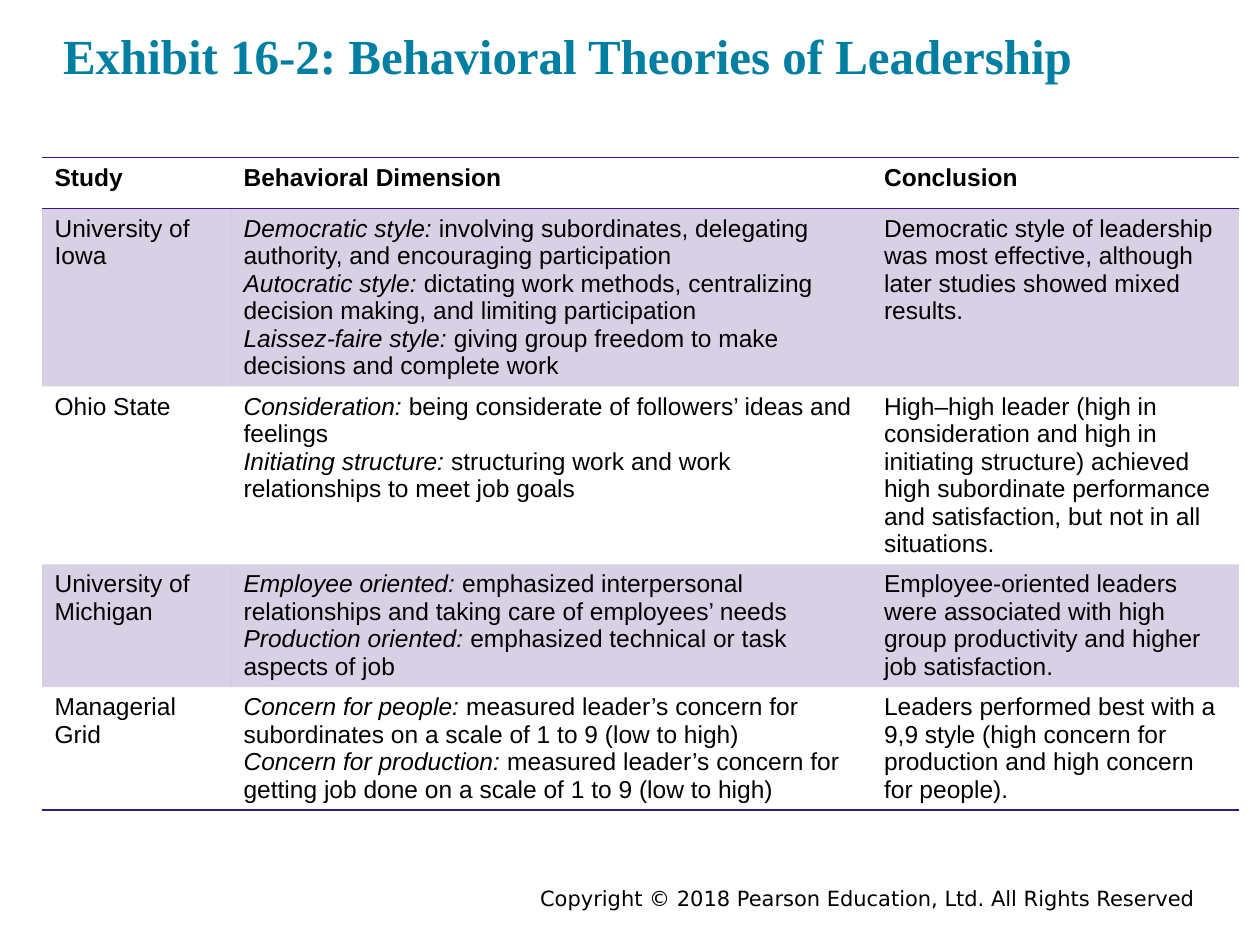
from lxml import etree
from pptx import Presentation
from pptx.dml.color import RGBColor
from pptx.enum import text
from pptx.oxml import parse_xml
from pptx.oxml.ns import nsdecls, qn
from pptx.util import Pt

PURPLE = "3C1581"


def write(frame, lines, font="Arial", size=14, color="000000", bold=False,
          align=text.PP_ALIGN.LEFT):
    """Fill a frame; a line is a string or an (italic term, plain text) pair."""
    for n, line in enumerate(lines):
        para = frame.paragraphs[0] if n == 0 else frame.add_paragraph()
        para.alignment = align
        parts = [("", line)] if isinstance(line, str) else [line]
        for term, rest in parts:
            for words, slant in ((term, True), (rest, False)):
                if words:
                    run = para.add_run()
                    run.text = words
                    run.font.name = font
                    run.font.size = Pt(size)
                    run.font.bold = bold
                    run.font.italic = slant
                    run.font.color.rgb = RGBColor.from_string(color)


def rule(cell, side):
    """Draw a purple border on one side of a cell."""
    cell._tc.get_or_add_tcPr().insert(0, parse_xml(
        f'<a:{side} {nsdecls("a")} w="12700"><a:solidFill>'
        f'<a:srgbClr val="{PURPLE}"/></a:solidFill></a:{side}>'))


deck = Presentation()
deck.slide_width, deck.slide_height = Pt(720), Pt(540)
slide = deck.slides.add_slide(deck.slide_layouts[5])

# Title
title = slide.shapes.title
title.left, title.top, title.width, title.height = Pt(36), Pt(17.3), Pt(648), Pt(31)
frame = title.text_frame
frame.margin_left = frame.margin_right = frame.margin_top = frame.margin_bottom = 0
frame.vertical_anchor = text.MSO_ANCHOR.BOTTOM
frame.auto_size = text.MSO_AUTO_SIZE.NONE
write(frame, ["Exhibit 16-2: Behavioral Theories of Leadership"],
      font="Times New Roman", size=28, color="007FA3", bold=True)

# Table content: each cell is a list of paragraphs
rows = [
    (["Study"], ["Behavioral Dimension"], ["Conclusion"]),
    (["University of Iowa"],
     [("Democratic style: ", "involving subordinates, delegating authority, "
       "and encouraging participation"),
      ("Autocratic style: ", "dictating work methods, centralizing decision "
       "making, and limiting participation"),
      ("Laissez-faire style: ", "giving group freedom to make decisions and "
       "complete work")],
     ["Democratic style of leadership was most effective, although later "
      "studies showed mixed results."]),
    (["Ohio State"],
     [("Consideration: ", "being considerate of followers’ ideas and feelings"),
      ("Initiating structure: ", "structuring work and work relationships to "
       "meet job goals")],
     ["High–high leader (high in consideration and high in initiating "
      "structure) achieved high subordinate performance and satisfaction, "
      "but not in all situations."]),
    (["University of Michigan"],
     [("Employee oriented: ", "emphasized interpersonal relationships and "
       "taking care of employees’ needs"),
      ("Production oriented: ", "emphasized technical or task aspects of job")],
     ["Employee-oriented leaders were associated with high group productivity "
      "and higher job satisfaction."]),
    (["Managerial Grid"],
     [("Concern for people: ", "measured leader’s concern for subordinates on "
       "a scale of 1 to 9 (low to high)"),
      ("Concern for production: ", "measured leader’s concern for getting job "
       "done on a scale of 1 to 9 (low to high)")],
     ["Leaders performed best with a 9,9 style (high concern for production "
      "and high concern for people)."]),
]

# Table without a preset style
table = slide.shapes.add_table(len(rows), 3, Pt(24), Pt(90), Pt(684), Pt(146)).table
table.first_row = True
table.horz_banding = False
table._tbl.tblPr.find(qn("a:tableStyleId")).text = "{2D5ABB26-0587-4C30-8999-92F81FD0307C}"
for col, width in zip(table.columns, (108, 366, 210)):
    col.width = Pt(width)

for r, row in enumerate(rows):
    table.rows[r].height = Pt(29.2)
    for c, lines in enumerate(row):
        cell = table.cell(r, c)
        write(cell.text_frame, lines, bold=r == 0)
        # Tint every other row
        if r % 2:
            cell.fill.solid()
            cell.fill.fore_color.rgb = RGBColor.from_string(PURPLE)
            tint = cell._tc.tcPr.find(".//" + qn("a:srgbClr"))
            etree.SubElement(tint, qn("a:alpha")).set("val", "20000")
        else:
            cell.fill.background()
        # Rules around the header and under the last row
        if r in (0, len(rows) - 1):
            rule(cell, "lnB")
        if r == 0:
            rule(cell, "lnT")

# Copyright line
foot = slide.shapes.add_textbox(Pt(126), Pt(502.6), Pt(564), Pt(21.6)).text_frame
foot.word_wrap = True
write(foot, ["Copyright © 2018 Pearson Education, Ltd. All Rights Reserved"],
      font="DejaVu Sans", size=12, align=text.PP_ALIGN.RIGHT)

deck.save("out.pptx")
